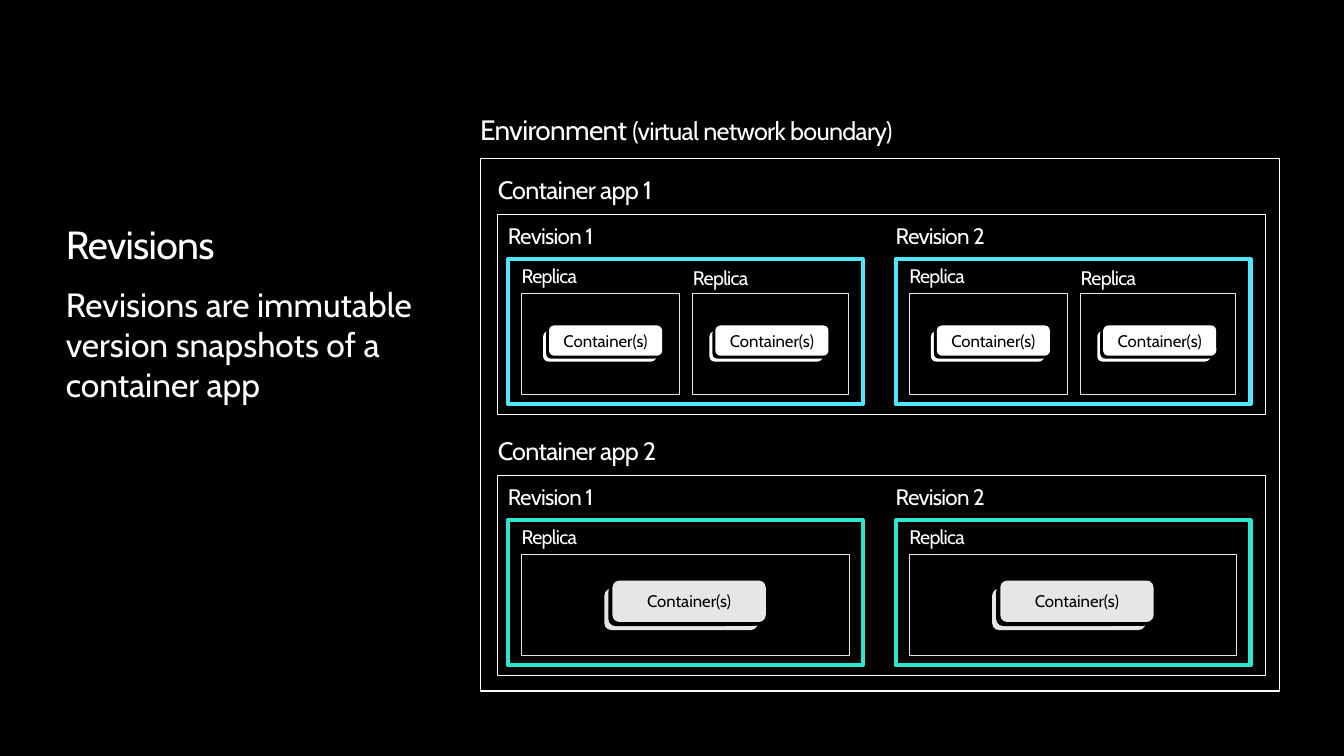
import pptx
import pptx.dml.color
import pptx.enum.shapes
import pptx.enum.text
import pptx.util

Pt = pptx.util.Pt
SHAPES = pptx.enum.shapes.MSO_SHAPE
ANCHORS = pptx.enum.text.MSO_ANCHOR
ALIGN = pptx.enum.text.PP_ALIGN
AUTO_SIZE = pptx.enum.text.MSO_AUTO_SIZE

WHITE, BLACK, GREY = "FFFFFF", "000000", "E6E6E6"
PAIR = [(9.8, 113, 19.6, 0), (132.2, 110.9, 16, 1.2)]
SINGLE = [(9.8, 234, 64.9, 0)]


def color(hex_code):
    """Return the colour for a hex string."""
    return pptx.dml.color.RGBColor.from_string(hex_code)


def write(frame, text, size=18, ink=WHITE, spacing=-0.5, align=ALIGN.LEFT,
          anchor=ANCHORS.TOP, line_spacing=None, space_after=0):
    """Append a formatted run to the first paragraph of a text frame."""
    frame.margin_left = frame.margin_top = frame.margin_right = frame.margin_bottom = 0
    frame.word_wrap = True
    frame.vertical_anchor = anchor
    paragraph = frame.paragraphs[0]
    paragraph.alignment = align
    paragraph.space_before = Pt(0)
    paragraph.space_after = Pt(space_after)
    if line_spacing:
        paragraph.line_spacing = Pt(line_spacing)
    run = paragraph.add_run()
    run.text = text
    run.font.name = "Cabin"
    run.font.size = Pt(size)
    run.font.color.rgb = color(ink)
    if spacing:
        run.font._element.set("spc", str(round(spacing * 100)))


def add_label(slide, text, left, top, width, height, **style):
    """Add a text box holding one run and return its frame."""
    label = slide.shapes.add_textbox(Pt(left), Pt(top), Pt(width), Pt(height))
    write(label.text_frame, text, **style)
    label.text_frame.auto_size = AUTO_SIZE.SHAPE_TO_FIT_TEXT
    return label.text_frame


def add_frame(slide, left, top, width, height, line, weight=0.75):
    """Add an unfilled outlined rectangle."""
    outline = slide.shapes.add_shape(
        SHAPES.RECTANGLE, Pt(left), Pt(top), Pt(width), Pt(height))
    outline.shadow.inherit = False
    outline.fill.background()
    outline.line.color.rgb = color(line)
    outline.line.width = Pt(weight)


def add_containers(slide, left, top, width, height, step, fill):
    """Add a stack of cards whose front card starts at the given corner."""
    stack = slide.shapes.add_group_shape()
    for depth, card_fill in ((2, fill), (1, BLACK), (0, fill)):
        card = stack.shapes.add_shape(
            SHAPES.ROUNDED_RECTANGLE, Pt(left - depth * step),
            Pt(top + depth * step), Pt(width), Pt(height))
        card.shadow.inherit = False
        card.fill.solid()
        card.fill.fore_color.rgb = color(card_fill)
        card.line.fill.background()
    write(card.text_frame, "Container(s)", size=12, ink=BLACK, spacing=0,
          align=ALIGN.CENTER, anchor=ANCHORS.MIDDLE)


def add_revision(slide, name, left, top, accent, replicas, stack):
    """Add a titled revision with its replicas."""
    add_label(slide, name, left, top - 26.7, 253.4, 19.4, size=16)
    add_frame(slide, left, top, 253.4, 103.7, accent, weight=3)
    for offset, width, stack_left, label_drop in replicas:
        replica_left, replica_top = left + offset, top + 24.2
        add_label(slide, "Replica", replica_left, replica_top - 20.6 + label_drop,
                  width, 17, size=14)
        add_frame(slide, replica_left, replica_top, width, 72.7, GREY)
        add_containers(slide, replica_left + stack_left,
                       replica_top + stack["drop"], stack["width"],
                       stack["height"], stack["step"], stack["fill"])


def add_app(slide, name, left, top, accent, replicas, stack):
    """Add a titled container app with two revisions."""
    add_label(slide, name, left, top - 28.8, 558.7, 21.6)
    add_frame(slide, left, top, 548.6, 142.6, WHITE)
    for number in (1, 2):
        add_revision(slide, f"Revision {number}", left + 7.2 + (number - 1) * 277,
                     top + 31.7, accent, replicas, stack)


def add_environment(slide, left, top, width, height):
    """Add the environment boundary with both container apps."""
    heading = add_label(slide, "Environment ", left, top - 32.4, 558.7, 24.5, size=20)
    write(heading, "(virtual network boundary)")
    add_frame(slide, left, top, width, height, WHITE)
    small = dict(drop=23.2, width=80.8, height=21.6, step=2.1, fill=WHITE)
    large = dict(drop=18.9, width=109.5, height=29.6, step=2.9, fill=GREY)
    add_app(slide, "Container app 1", left + 12.7, top + 40.3, "50E6FF", PAIR, small)
    add_app(slide, "Container app 2", left + 12.7, top + 226.8, "30E5D0", SINGLE, large)


def add_summary(slide, left, top, width):
    """Add the title and the definition below it."""
    title = slide.shapes.title
    title.left, title.top, title.width, title.height = (
        Pt(left), Pt(top), Pt(width), Pt(31))
    write(title.text_frame, "Revisions", size=28, line_spacing=31.4)
    add_label(slide, "Revisions are immutable version snapshots of a container app",
              left, top + 42.8, 253.4, 116.6, size=24, spacing=0, space_after=11.8)


def main():
    """Build and save the slide."""
    deck = pptx.Presentation()
    deck.slide_width, deck.slide_height = Pt(960), Pt(540)
    slide = deck.slides.add_slide(deck.slide_layouts[5])
    slide.background.fill.solid()
    slide.background.fill.fore_color.rgb = color(BLACK)
    add_summary(slide, 47, 159.8, 332)
    add_environment(slide, 342.9, 113.1, 571, 380.5)
    deck.save("out.pptx")


if __name__ == "__main__":
    main()
